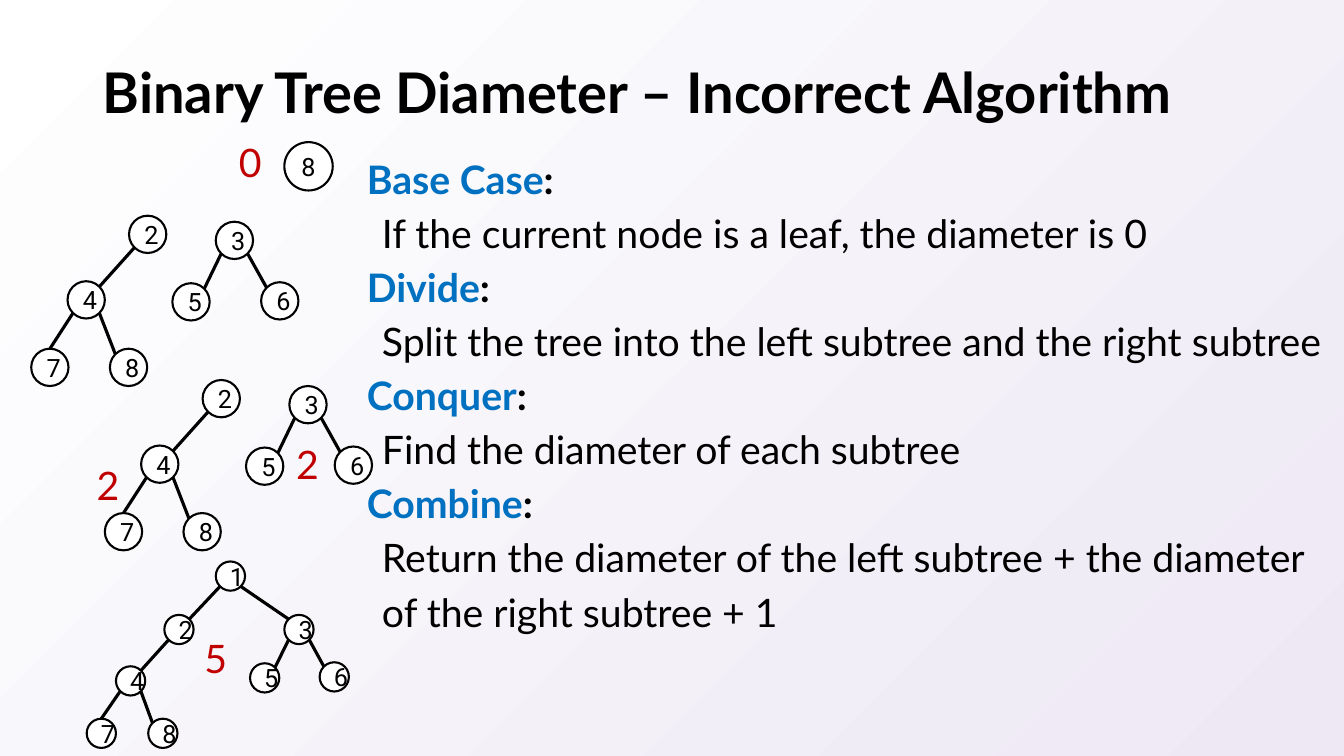
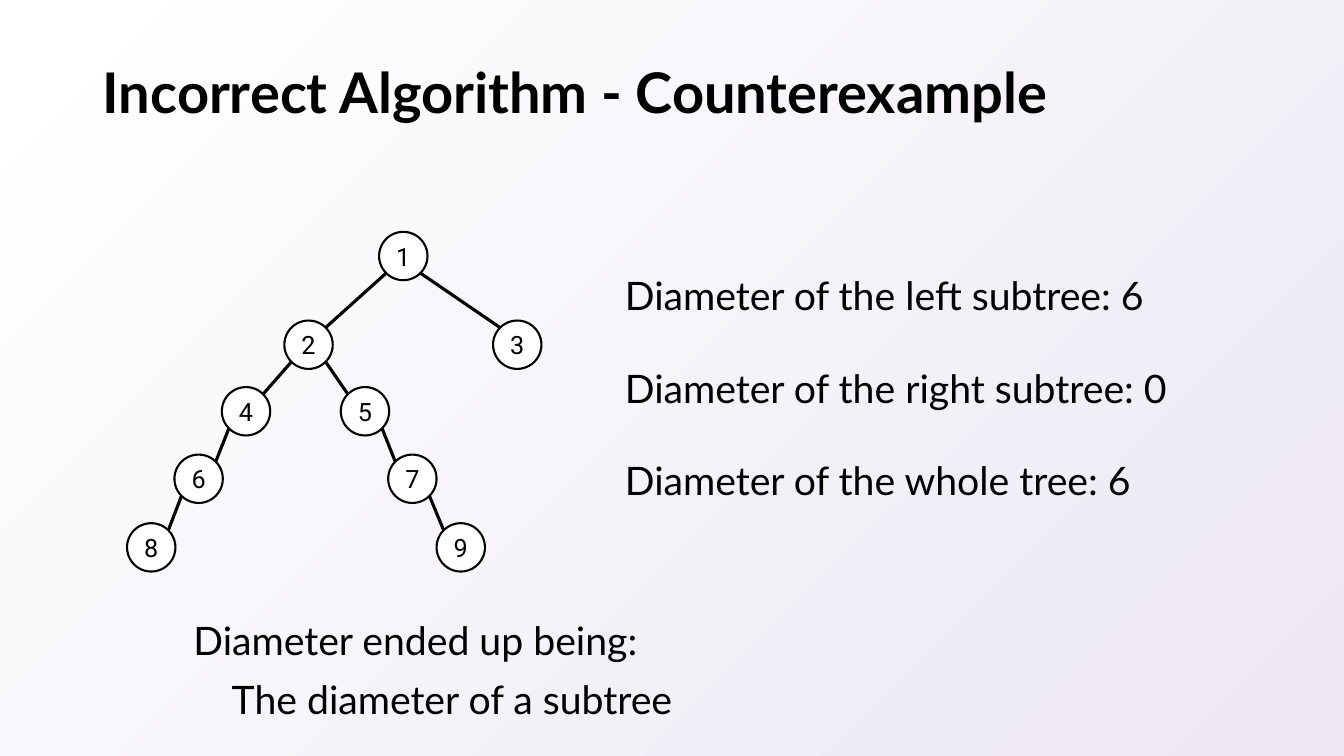
from lxml import etree
from pptx import Presentation
from pptx.dml.color import RGBColor
from pptx.enum.shapes import MSO_CONNECTOR, MSO_SHAPE
from pptx.enum.text import MSO_ANCHOR, MSO_AUTO_SIZE, PP_ALIGN
from pptx.oxml.ns import qn
from pptx.util import Inches, Pt

BLACK = RGBColor(0x00, 0x00, 0x00)
WHITE = RGBColor(0xFF, 0xFF, 0xFF)
LAVENDER = RGBColor(0xED, 0xE8, 0xF4)
BLUE = RGBColor(0x00, 0x70, 0xC0)
RED = RGBColor(0xC0, 0x00, 0x00)

TEXT_FONT = "Lato"
NODE_FONT = "Roboto"
TITLE_SIZE = 40
BODY_SIZE = 28
NODE_SIZE = 18

OVAL = MSO_SHAPE.OVAL
STRAIGHT = MSO_CONNECTOR.STRAIGHT
MIDDLE = MSO_ANCHOR.MIDDLE
LEFT = PP_ALIGN.LEFT
CENTER = PP_ALIGN.CENTER
NO_AUTOFIT = MSO_AUTO_SIZE.NONE
TITLE_ONLY = 5
DIAGONAL = 0.5 ** 0.5

# label: (left, top, parent)
SPLIT_TREES = {
    2: (0.97, 0, None), 3: (1.83, 0.06, None), 4: (0.36, 0.65, 2),
    7: (0, 1.32, 4), 8: (0.78, 1.32, 4), 5: (1.4, 0.67, 3), 6: (2.28, 0.66, 3),
}
WHOLE_TREE = {
    1: (1.28, 0, None), 2: (0.77, 0.53, 1), 3: (1.96, 0.53, 1),
    4: (0.29, 1.04, 2), 7: (0, 1.56, 4), 8: (0.61, 1.56, 4),
    5: (1.62, 1.01, 3), 6: (2.31, 1, 3),
}
COUNTEREXAMPLE_TREE = {
    1: (2.5, 0, None), 2: (1.56, 0.88, 1), 3: (3.63, 0.88, 1),
    4: (0.94, 1.54, 2), 6: (0.47, 2.21, 4), 8: (0, 2.89, 6),
    5: (2.12, 1.54, 2), 7: (2.59, 2.21, 5), 9: (3.07, 2.89, 7),
}
ALGORITHM_STEPS = [
    ("Base Case", "If the current node is a leaf, the diameter is 0"),
    ("Divide", "Split the tree into the left subtree and the right subtree"),
    ("Conquer", "Find the diameter of each subtree"),
    ("Combine", "Return the diameter of the left subtree + the diameter "
                "of the right subtree + 1"),
]


def add_run(paragraph, text, color=BLACK, size=BODY_SIZE, font=TEXT_FONT, bold=False):
    run = paragraph.add_run()
    run.text = text
    run.font.name = font
    run.font.size = Pt(size)
    run.font.bold = bold
    run.font.color.rgb = color


def set_background(master):
    fill = master.background.fill
    fill.gradient()
    fill.gradient_angle = 315
    for stop, color in zip(fill.gradient_stops, (WHITE, LAVENDER)):
        stop.color.rgb = color


def add_titled_slide(presentation, text):
    slide = presentation.slides.add_slide(presentation.slide_layouts[TITLE_ONLY])
    title = slide.shapes.title
    title.left, title.top = Inches(0.92), Inches(0.4)
    title.width, title.height = Inches(11.5), Inches(1.09)
    title.text_frame.auto_size = NO_AUTOFIT
    title.text_frame.vertical_anchor = MIDDLE
    paragraph = title.text_frame.paragraphs[0]
    paragraph.alignment = LEFT
    paragraph.line_spacing = 0.9
    add_run(paragraph, text, size=TITLE_SIZE, bold=True)
    return slide


def add_text(shapes, left, top, width, height, lines, spacing=1.25, gap=0):
    box = shapes.add_textbox(Inches(left), Inches(top), Inches(width), Inches(height))
    frame = box.text_frame
    frame.word_wrap = True
    for index, (indent, runs) in enumerate(lines):
        paragraph = frame.add_paragraph() if index else frame.paragraphs[0]
        paragraph.line_spacing = spacing
        paragraph.space_before = Pt(gap if index else 0)
        if indent:
            paragraph._p.get_or_add_pPr().set("marL", str(Inches(indent)))
        for text, color, bold in runs:
            add_run(paragraph, text, color, bold=bold)


def add_diameter(shapes, left, top, value):
    add_text(shapes, left, top, 0.43, 0.63, [(0, [(value, RED, False)])])


def add_node(shapes, left, top, diameter, label):
    node = shapes.add_shape(OVAL, Inches(left), Inches(top),
                            Inches(diameter), Inches(diameter))
    node.shadow.inherit = False
    node.fill.solid()
    node.fill.fore_color.rgb = WHITE
    node.line.color.rgb = BLACK
    node.line.width = Pt(1.5)
    node.text_frame.vertical_anchor = MIDDLE
    paragraph = node.text_frame.paragraphs[0]
    paragraph.alignment = CENTER
    add_run(paragraph, str(label), size=NODE_SIZE, font=NODE_FONT)


def add_edge(shapes, start, end):
    edge = shapes.add_connector(STRAIGHT, *(Inches(value) for value in start + end))
    edge.line.color.rgb = BLACK
    edge.line.width = Pt(2.25)
    etree.SubElement(edge._element.spPr, qn("a:effectLst"))


def add_tree(slide, left, top, diameter, nodes, joined_at_top=()):
    shapes = slide.shapes.add_group_shape().shapes
    radius = diameter / 2
    reach = radius * DIAGONAL
    centers = {label: (left + x + radius, top + y + radius)
               for label, (x, y, parent) in nodes.items()}
    for label, (x, y, parent) in nodes.items():
        add_node(shapes, left + x, top + y, diameter, label)
    for label, (x, y, parent) in nodes.items():
        if parent is None:
            continue
        parent_x, parent_y = centers[parent]
        child_x, child_y = centers[label]
        shift = reach if child_x > parent_x else -reach
        if label in joined_at_top:
            end = (child_x, child_y - radius)
        else:
            end = (child_x - shift, child_y - reach)
        add_edge(shapes, (parent_x + shift, parent_y + reach), end)
    return shapes


def add_algorithm(slide, left, top, width, height):
    lines = []
    for name, description in ALGORITHM_STEPS:
        lines.append((0, [(name, BLUE, True), (":", BLACK, True)]))
        lines.append((0.15, [(description, BLACK, False)]))
    add_text(slide.shapes, left, top, width, height, lines, spacing=1.15)


def add_statements(slide, left, top, width, height, statements, gap=0):
    lines = [(indent, [(text, BLACK, False)]) for indent, text in statements]
    add_text(slide.shapes, left, top, width, height, lines, gap=gap)


def build_algorithm_slide(presentation):
    slide = add_titled_slide(presentation, "Binary Tree Diameter – Incorrect Algorithm")
    add_algorithm(slide, 3.54, 1.42, 9.71, 5.75)
    add_tree(slide, 0.86, 5.57, 0.29, WHOLE_TREE, joined_at_top=(7,))
    add_node(slide.shapes, 2.82, 1.41, 0.48, 8)
    add_tree(slide, 0.31, 2.14, 0.37, SPLIT_TREES, joined_at_top=(7,))
    solved = add_tree(slide, 1.04, 3.77, 0.37, SPLIT_TREES, joined_at_top=(7,))
    add_diameter(solved, 0.86, 4.41, "2")
    add_diameter(solved, 2.84, 4.2, "2")
    add_diameter(slide.shapes, 1.93, 6.13, "5")
    add_diameter(slide.shapes, 2.27, 1.21, "0")


def build_counterexample_slide(presentation):
    slide = add_titled_slide(presentation, "Incorrect Algorithm - Counterexample")
    add_statements(slide, 6.1, 2.53, 5.67, 2.48, [
        (0, "Diameter of the left subtree: 6"),
        (0, "Diameter of the right subtree: 0"),
        (0, "Diameter of the whole tree: 6"),
    ], gap=24)
    add_tree(slide, 1.26, 2.3, 0.48, COUNTEREXAMPLE_TREE)
    add_statements(slide, 1.82, 5.95, 5.15, 1.22, [
        (0, "Diameter ended up being:"),
        (0.38, "The diameter of a subtree"),
    ])


def main():
    presentation = Presentation()
    presentation.slide_width = Inches(13.33)
    presentation.slide_height = Inches(7.5)
    set_background(presentation.slide_master)
    build_algorithm_slide(presentation)
    build_counterexample_slide(presentation)
    presentation.save("out.pptx")


if __name__ == "__main__":
    main()
